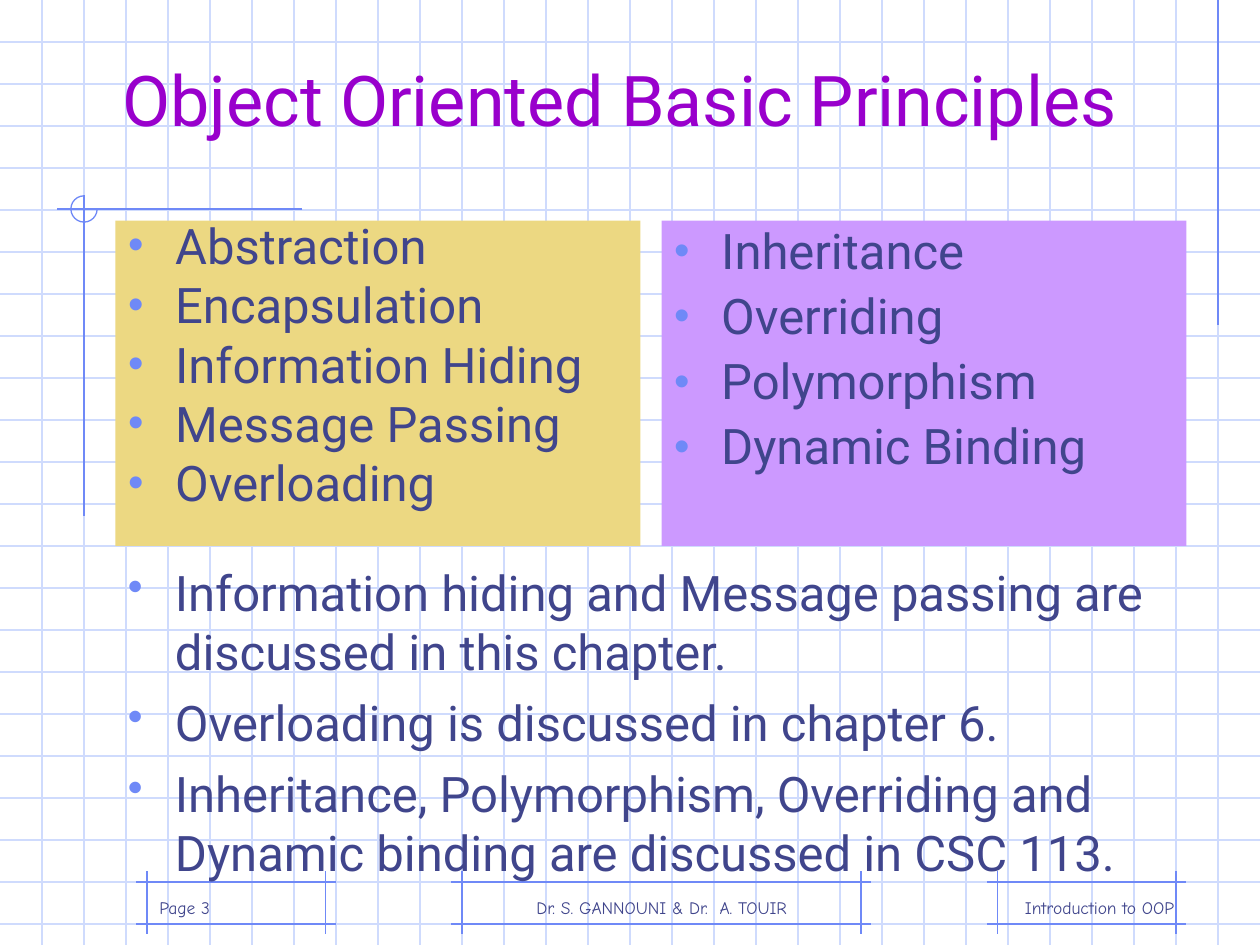
"""Builds a slide listing the basic principles of object orientation."""
from dataclasses import dataclass

from lxml.etree import SubElement
from pptx import Presentation
from pptx.dml.color import RGBColor
from pptx.enum.shapes import MSO_CONNECTOR, MSO_SHAPE
from pptx.enum.text import MSO_ANCHOR, MSO_AUTO_SIZE, PP_ALIGN
from pptx.oxml.ns import qn
from pptx.util import Cm, Pt


@dataclass(frozen=True)
class Theme:
    """Colours, fonts and sizes of the slide."""
    grid: str = "CFDBFD"
    accent: str = "6F89F7"
    text: str = "40458C"
    title: str = "9900CC"
    sand: str = "ECD882"
    lilac: str = "CC99FF"
    font: str = "Roboto"
    footer_font: str = "Comic Neue"
    title_size: int = 40
    body_size: int = 28
    footer_size: int = 10
    line_width: float = 0.75


THEME = Theme()
WIDTH, HEIGHT, GRID_STEP = 120, 90, 4
CORNER_X, CORNER_Y, CORNER_RADIUS = 8, 19.9, 1.25
FOOTER_FRAMES = [(13, 32), (43, 83), (94, 113)]
FOOTERS = [
    ("Page 3", 14, 25, PP_ALIGN.LEFT),
    ("Dr. S. GANNOUNI & Dr.  A. TOUIR", 44, 38, PP_ALIGN.CENTER),
    ("Introduction to OOP", 88, 25, PP_ALIGN.RIGHT),
]
CORE_PRINCIPLES = ["Abstraction", "Encapsulation", "Information Hiding",
                   "Message Passing", "Overloading"]
LATER_PRINCIPLES = ["Inheritance", "Overriding", "Polymorphism", "Dynamic Binding"]
CHAPTER_NOTES = [
    "Information hiding and Message passing are discussed in this chapter.",
    "Overloading is discussed in chapter 6.",
    "Inheritance, Polymorphism, Overriding and Dynamic binding are discussed in CSC 113.",
]


def units(count):
    """Convert twelfths of an inch to a length."""
    return Cm(count * 2.54 / 12)


def rgb(colour):
    """Turn a hex string into a colour."""
    return RGBColor.from_string(colour)


def style_line(line, colour):
    """Give a line its colour and the common width."""
    line.color.rgb = rgb(colour)
    line.width = Pt(THEME.line_width)


def add_line(slide, x1, y1, x2, y2, colour=THEME.accent):
    """Draw a thin straight line without shadow."""
    rule = slide.shapes.add_connector(
        MSO_CONNECTOR.STRAIGHT, units(x1), units(y1), units(x2), units(y2))
    style_line(rule.line, colour)
    SubElement(rule._element.spPr, qn("a:effectLst"))


def add_grid(slide):
    """Rule the whole slide like squared paper."""
    for y in range(GRID_STEP, HEIGHT, GRID_STEP):
        add_line(slide, 0, y, WIDTH, y, THEME.grid)
    for x in range(GRID_STEP, WIDTH, GRID_STEP):
        add_line(slide, x, 0, x, HEIGHT, THEME.grid)


def add_footer_frame(slide, left, right):
    """Draw four crossing lines around a footer."""
    for y in (84, 88):
        add_line(slide, left, y, right, y)
    for x in (left + 1, right - 1):
        add_line(slide, x, 83, x, 89)


def add_corner_mark(slide):
    """Draw the crossed lines with a three-quarter circle."""
    add_line(slide, 28.8, CORNER_Y, 5.4, CORNER_Y)
    add_line(slide, CORNER_X, 18.6, CORNER_X, 49.1)
    diameter = units(2 * CORNER_RADIUS)
    arc = slide.shapes.add_shape(
        MSO_SHAPE.ARC, units(CORNER_X - CORNER_RADIUS),
        units(CORNER_Y - CORNER_RADIUS), diameter, diameter)
    arc.adjustments[0] = 0
    arc.adjustments[1] = 162
    arc.shadow.inherit = False
    arc.fill.background()
    style_line(arc.line, THEME.accent)


def add_run(paragraph, text, size, colour=THEME.text, font=THEME.font):
    """Append one formatted run."""
    run = paragraph.add_run()
    run.text = text
    run.font.size = Pt(size)
    run.font.name = font
    run.font.color.rgb = rgb(colour)


def add_textbox(slide, left, top, width, height):
    """Add a wrapping text box and return its frame."""
    frame = slide.shapes.add_textbox(
        units(left), units(top), units(width), units(height)).text_frame
    frame.word_wrap = True
    return frame


def place(placeholder, left, top, width, height):
    """Position a placeholder in front and return its frame."""
    placeholder.left, placeholder.top = units(left), units(top)
    placeholder.width, placeholder.height = units(width), units(height)
    element = placeholder._element
    element.getparent().append(element)
    frame = placeholder.text_frame
    frame.auto_size = MSO_AUTO_SIZE.NONE
    return frame


def add_bullet(paragraph):
    """Give a paragraph a hanging coloured bullet."""
    properties = paragraph._p.get_or_add_pPr()
    properties.set("marL", str(Cm(0.95)))
    properties.set("indent", str(-Cm(0.95)))
    colour = SubElement(properties, qn("a:buClr"))
    SubElement(colour, qn("a:srgbClr"), val=THEME.accent)
    SubElement(properties, qn("a:buSzPct"), val="90000")
    SubElement(properties, qn("a:buChar"), char="•")


def fill_list(frame, items, line_spacing=1.0):
    """Write the items as a bulleted list."""
    frame.vertical_anchor = MSO_ANCHOR.TOP
    for index, item in enumerate(items):
        paragraph = frame.add_paragraph() if index else frame.paragraphs[0]
        paragraph.line_spacing = line_spacing
        paragraph.space_before = Pt(7)
        add_bullet(paragraph)
        add_run(paragraph, item, THEME.body_size)


def add_panel(placeholder, left, colour, items, line_spacing):
    """Turn a body placeholder into a coloured list panel."""
    frame = place(placeholder, left, 21, 50, 31)
    placeholder.fill.solid()
    placeholder.fill.fore_color.rgb = rgb(colour)
    fill_list(frame, items, line_spacing)


def add_title(placeholder, text):
    """Write the centred slide title."""
    frame = place(placeholder, 8, 2, 102, 12)
    frame.vertical_anchor = MSO_ANCHOR.BOTTOM
    heading = frame.paragraphs[0]
    heading.alignment = PP_ALIGN.CENTER
    add_run(heading, text, THEME.title_size, THEME.title)


def add_footer(slide, text, left, width, alignment):
    """Write one footer text."""
    frame = add_textbox(slide, left, 82, width, 6)
    frame.vertical_anchor = MSO_ANCHOR.BOTTOM
    footer = frame.paragraphs[0]
    footer.alignment = alignment
    add_run(footer, text, THEME.footer_size, font=THEME.footer_font)


def main():
    """Build and save the slide."""
    deck = Presentation()
    deck.slide_width, deck.slide_height = units(WIDTH), units(HEIGHT)
    slide = deck.slides.add_slide(deck.slide_layouts.get_by_name("Two Content"))
    title, core, later = slide.placeholders

    add_grid(slide)
    for left, right in FOOTER_FRAMES:
        add_footer_frame(slide, left, right)
    add_line(slide, 116, 0, 116, 31)
    add_corner_mark(slide)
    for footer in FOOTERS:
        add_footer(slide, *footer)

    add_title(title, "Object Oriented Basic Principles")
    add_panel(core, 11, THEME.sand, CORE_PRINCIPLES, 0.8)
    add_panel(later, 63, THEME.lilac, LATER_PRINCIPLES, 0.9)
    fill_list(add_textbox(slide, 11, 53, 102, 28), CHAPTER_NOTES)
    deck.save("out.pptx")


if __name__ == "__main__":
    main()
